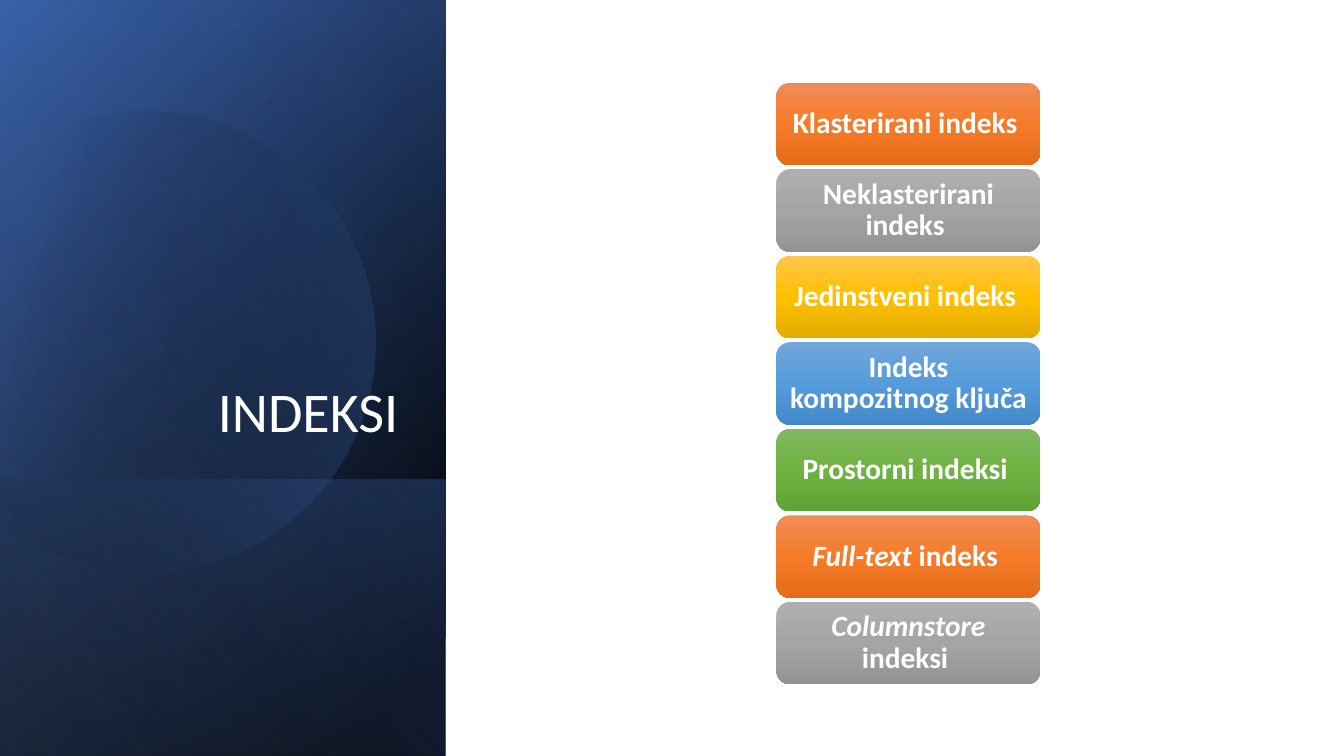
import math

from lxml import etree
from pptx import Presentation
from pptx.enum import shapes, text
from pptx.oxml import ns
from pptx.dml.color import RGBColor
from pptx.util import Inches, Pt

FONT = "Calibri"
COLORS = {
    "white": "FFFFFF",
    "black": "000000",
    "navy": "2F5597",
    "blue": "4472C4",
    "pale": "8FAADC",
}
CARD_COLORS = {
    "orange": ("F18C57", "F67B28", "E56C19"),
    "gray": ("AFAFAF", "A5A5A5", "939393"),
    "gold": ("FFC64B", "FFC000", "E3AB00"),
    "sky": ("71A6DB", "559BDB", "448ACA"),
    "green": ("81B861", "6FB242", "62A336"),
}
# Left, top, width, height, gradient angle, stops (position, colour, opacity)
PANELS_BELOW = [
    (-1.54, 1.54, 7.5, 4.42, 50, [(8, "black", 100), (100, "navy", 100)]),
    (-1.54, 1.55, 7.5, 4.42, 30, [(0, "black", 0), (99, "blue", 46)]),
    (0.84, 3.92, 2.74, 4.42, 130, [(2, "blue", 29), (100, "black", 30)]),
]
PANEL_ABOVE = (-1.54, 1.54, 7.5, 4.42, 120, [(0, "black", 0), (99, "pale", 11)])
# Colour, then (wording, italic) for each run
INDEX_CARDS = [
    ("orange", [("Klasterirani indeks ", False)]),
    ("gray", [("Neklasterirani indeks ", False)]),
    ("gold", [("Jedinstveni indeks ", False)]),
    ("sky", [("Indeks kompozitnog ključa ", False)]),
    ("green", [("Prostorni indeksi ", False)]),
    ("orange", [("Full-text", True), (" indeks ", False)]),
    ("gray", [("Columnstore", True), (" indeksi ", False)]),
]
CARD_LEFT, CARD_TOP, CARD_WIDTH, CARD_HEIGHT = 7.7, 0.82, 2.62, 0.82
CARD_PITCH = 5.15 / (len(INDEX_CARDS) - 1)


def fill_gradient(shape, angle, stops):
    """Fill with (position, colour name or hex, opacity) stops; no outline."""
    shape.shadow.inherit = False
    shape.line.fill.background()
    shape.fill.gradient()
    gradient = shape.element.spPr.find(ns.qn("a:gradFill"))
    for child in list(gradient):
        gradient.remove(child)
    gradient.set("rotWithShape", "1")
    stop_list = etree.SubElement(gradient, ns.qn("a:gsLst"))
    for position, color, opacity in stops:
        stop = etree.SubElement(stop_list, ns.qn("a:gs"), pos=str(position * 1000))
        rgb = etree.SubElement(stop, ns.qn("a:srgbClr"), val=COLORS.get(color, color))
        if opacity < 100:
            etree.SubElement(rgb, ns.qn("a:alpha"), val=str(opacity * 1000))
    etree.SubElement(gradient, ns.qn("a:lin"), ang=str(angle * 60000), scaled="0")


def write_text(frame, runs, *, size, align, anchor, bold=False, insets=(0.1, 0.05)):
    frame.word_wrap = True
    frame.auto_size = text.MSO_AUTO_SIZE.NONE
    frame.vertical_anchor = anchor
    frame.margin_left = frame.margin_right = Inches(insets[0])
    frame.margin_top = frame.margin_bottom = Inches(insets[1])
    paragraph = frame.paragraphs[0]
    paragraph.alignment = align
    paragraph.line_spacing = 0.9
    for wording, italic in runs:
        run = paragraph.add_run()
        run.text = wording
        run.font.name = FONT
        run.font.size = Pt(size)
        run.font.bold = bold
        run.font.italic = italic
        run.font.color.rgb = RGBColor.from_string(COLORS["white"])


def add_panel(slide, left, top, width, height, angle, stops):
    """Add a mirrored gradient rectangle turned by a quarter."""
    panel = slide.shapes.add_shape(
        shapes.MSO_SHAPE.RECTANGLE,
        Inches(left), Inches(top), Inches(width), Inches(height))
    panel.rotation = 90
    panel.element.spPr.get_or_add_xfrm().set("flipH", "1")
    fill_gradient(panel, angle, stops)


def add_disc(slide, center_x=1.43, center_y=3.35, radius=2.29, start=-118, end=150):
    """Add a tilted circle cut off by a chord, its rim one true arc."""
    rim = [
        (Inches(center_x + radius * math.cos(math.radians(degree))),
         Inches(center_y + radius * math.sin(math.radians(degree))))
        for degree in (start, -90, 0, 90, end)
    ]
    builder = slide.shapes.build_freeform(*rim[0])
    builder.add_line_segments(rim[1:], close=True)
    disc = builder.convert_to_shape()
    sides = list(disc.element.iter(ns.qn("a:lnTo")))
    outline = sides[0].getparent()
    arc = etree.Element(
        ns.qn("a:arcTo"), wR=str(Inches(radius)), hR=str(Inches(radius)),
        stAng=str(start % 360 * 60000), swAng=str((end - start) * 60000))
    sides[0].addprevious(arc)
    for side in sides:
        outline.remove(side)
    disc.rotation = 343.9
    fill_gradient(disc, 30, [(29, "black", 0), (100, "blue", 43)])


def place_title(slide, wording):
    title = slide.shapes.title
    title.left, title.top = Inches(0.64), Inches(1.84)
    title.width, title.height = Inches(3.41), Inches(2.62)
    write_text(title.text_frame, [(wording, False)], size=40,
               align=text.PP_ALIGN.RIGHT, anchor=text.MSO_ANCHOR.BOTTOM)
    slide.shapes.element.append(title.element)  # in front of the panels


def add_index_card(group, row, color, runs):
    card = group.shapes.add_shape(
        shapes.MSO_SHAPE.ROUNDED_RECTANGLE,
        Inches(CARD_LEFT), Inches(CARD_TOP + row * CARD_PITCH),
        Inches(CARD_WIDTH), Inches(CARD_HEIGHT))
    shades = zip((0, 50, 100), CARD_COLORS[color])
    fill_gradient(card, 90, [(position, shade, 100) for position, shade in shades])
    write_text(card.text_frame, runs, size=21, bold=True, insets=(0.09, 0.04),
               align=text.PP_ALIGN.CENTER, anchor=text.MSO_ANCHOR.MIDDLE)


def main():
    deck = Presentation()
    deck.slide_width, deck.slide_height = Inches(13.33), Inches(7.5)
    slide = deck.slides.add_slide(deck.slide_layouts.get_by_name("Title Only"))

    for panel in PANELS_BELOW:
        add_panel(slide, *panel)
    add_disc(slide)
    add_panel(slide, *PANEL_ABOVE)
    place_title(slide, "INDEKSI")

    index_list = slide.shapes.add_group_shape()
    for row, (color, runs) in enumerate(INDEX_CARDS):
        add_index_card(index_list, row, color, runs)

    deck.save("out.pptx")


if __name__ == "__main__":
    main()
